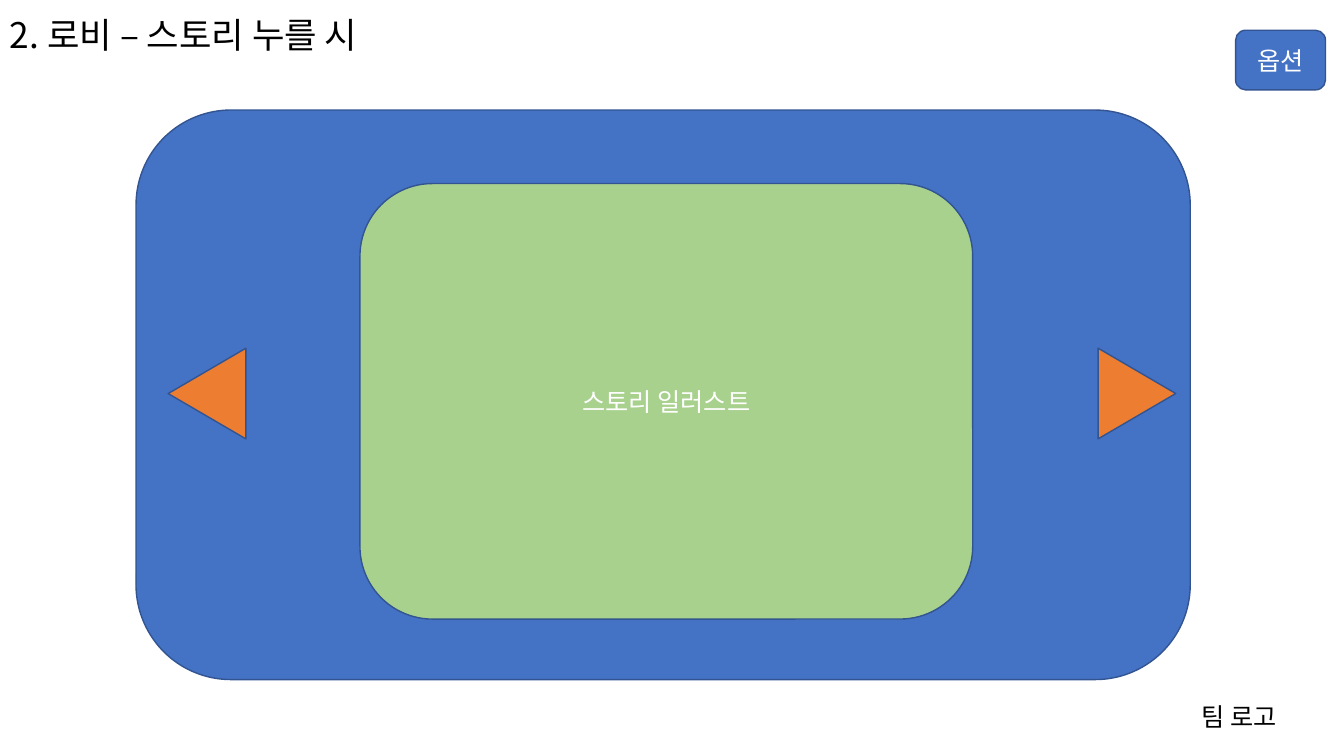
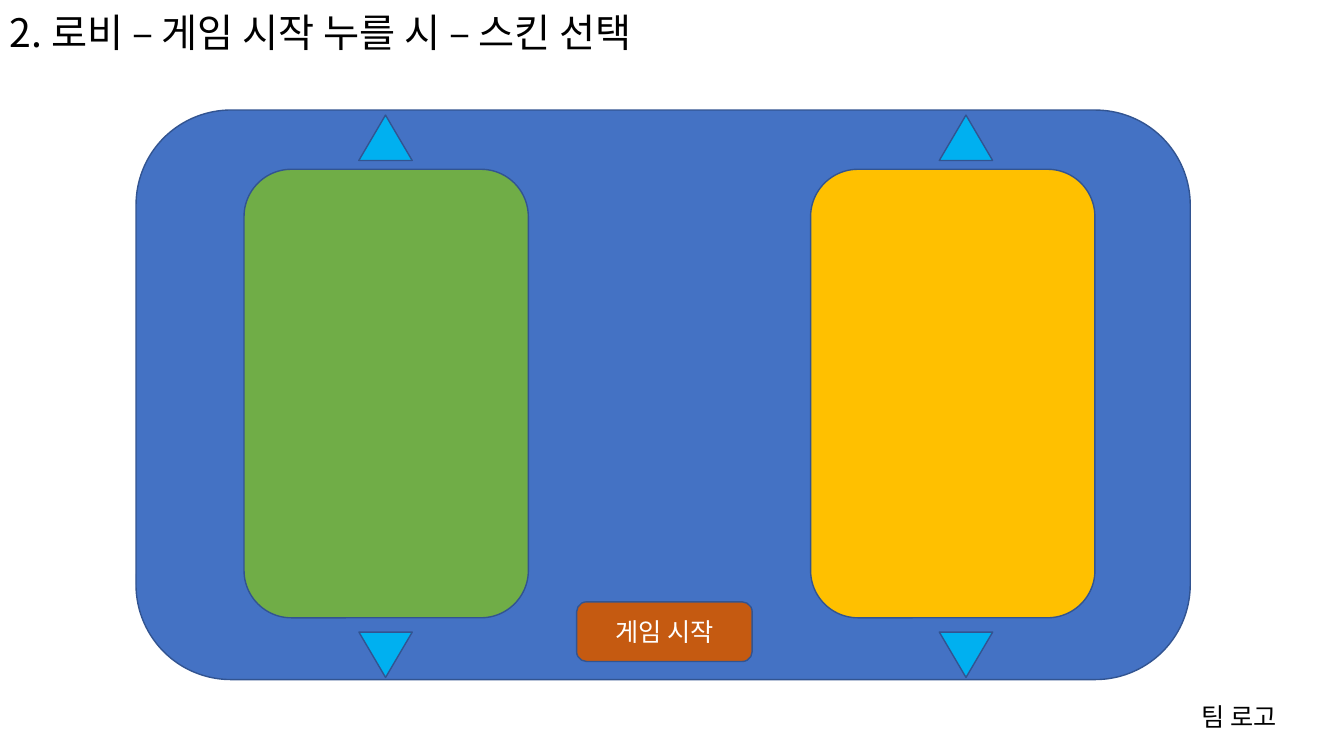
from dataclasses import dataclass

from lxml.etree import SubElement
from pptx import Presentation
from pptx.dml.color import RGBColor
from pptx.enum.shapes import MSO_SHAPE as SHAPE
from pptx.enum.text import MSO_ANCHOR as ANCHOR, MSO_AUTO_SIZE as FIT, PP_ALIGN as ALIGN
from pptx.oxml.ns import qn
from pptx.util import Inches, Pt

# Grid: square cells
COLS, ROWS = 32, 18
CELL = Inches(7.5) / ROWS
BUTTON_H = 1.42


@dataclass(frozen=True)
class Theme:
    font: str = "Noto Sans CJK KR"
    text: str = "000000"
    light: str = "FFFFFF"
    outline: str = "325491"
    blue: str = "4472C4"
    orange: str = "ED7D31"
    rust: str = "C55A11"
    pale_green: str = "A9D18E"
    green: str = "70AD47"
    gold: str = "FFC000"
    sky: str = "00B0F0"
    title_size: float = 28
    body_size: float = 18
    line_width: float = 1


THEME = Theme()


def grid(*cells):
    return [round(c * CELL) for c in cells]


def write(tf, text, size=THEME.body_size, color=THEME.text, align=ALIGN.LEFT,
          anchor=ANCHOR.TOP, spacing=None):
    tf.word_wrap = True
    tf.vertical_anchor = anchor
    p = tf.paragraphs[0]
    p.alignment, p.line_spacing = align, spacing
    r = p.add_run()
    r.text = text
    r.font.size, r.font.name = Pt(size), THEME.font
    r.font.color.rgb = RGBColor.from_string(color)
    SubElement(r.font._element, qn("a:ea")).set("typeface", THEME.font)


class Deck:
    def __init__(self, theme):
        self.theme = theme
        self.prs = Presentation()
        self.prs.slide_width, self.prs.slide_height = grid(COLS, ROWS)
        self.s = None

    def screen(self, title, title_width, title_size=None):
        """Start a slide with its title, team label and main panel."""
        self.s = self.prs.slides.add_slide(self.prs.slide_layouts[6])
        self.label(title, 0, 0, title_width, 1.46, size=title_size or self.theme.title_size,
                   anchor=ANCHOR.BOTTOM, spacing=0.9)
        tf = self.label("팀 로고", 28.37, 16.58, COLS - 28.37, 0.96)
        tf.auto_size = FIT.SHAPE_TO_FIT_TEXT
        self.box(3.24, 2.62, 25.1, 13.56, self.theme.blue)

    def label(self, text, x, y, w, h, **fmt):
        tf = self.s.shapes.add_textbox(*grid(x, y, w, h)).text_frame
        write(tf, text, **fmt)
        return tf

    def shape(self, kind, x, y, w, h, fill):
        sp = self.s.shapes.add_shape(kind, *grid(x, y, w, h))
        sp.shadow.inherit = False
        sp.fill.solid()
        sp.fill.fore_color.rgb = RGBColor.from_string(fill)
        sp.line.color.rgb = RGBColor.from_string(self.theme.outline)
        sp.line.width = Pt(self.theme.line_width)
        return sp

    def box(self, x, y, w, h, fill, text=None):
        sp = self.shape(SHAPE.ROUNDED_RECTANGLE, x, y, w, h, fill)
        if text:
            write(sp.text_frame, text, color=self.theme.light,
                  align=ALIGN.CENTER, anchor=ANCHOR.MIDDLE)

    def triangle(self, cx, cy, w, h, fill, turn=0):
        sp = self.shape(SHAPE.ISOSCELES_TRIANGLE, cx - w / 2, cy - h / 2, w, h, fill)
        sp.rotation = turn


def story_screen(deck):
    t = deck.theme
    deck.screen("2. 로비 – 스토리 누를 시", 10.58, title_size=25.2)
    deck.box(29.42, 0.72, 2.14, BUTTON_H, t.blue, "옵션")
    # Previous and next arrows, mirrored about the slide's middle
    for side, turn in ((1, 90), (-1, 270)):
        deck.triangle(COLS / 2 + side * 11.07, 9.37, 2.16, 1.85, t.orange, turn)
    deck.box(8.57, 4.37, 14.59, 10.37, t.pale_green, "스토리 일러스트")


def skin_screen(deck):
    t = deck.theme
    deck.screen("2. 로비 – 게임 시작 누를 시 – 스킨 선택", 22.68)
    # Skin cards, each with an up and a down arrow
    for card_x, arrow_x, fill in ((5.81, 9.18, t.green), (19.3, 23, t.gold)):
        deck.box(card_x, 4.03, 6.77, 10.68, fill)
        for arrow_y, turn in ((3.28, 0), (15.59, 180)):
            deck.triangle(arrow_x, arrow_y, 1.27, 1.08, t.sky, turn)
    deck.box(13.73, 14.33, 4.18, BUTTON_H, t.rust, "게임 시작")


def main():
    deck = Deck(THEME)
    story_screen(deck)
    skin_screen(deck)
    deck.prs.save("out.pptx")


if __name__ == "__main__":
    main()
